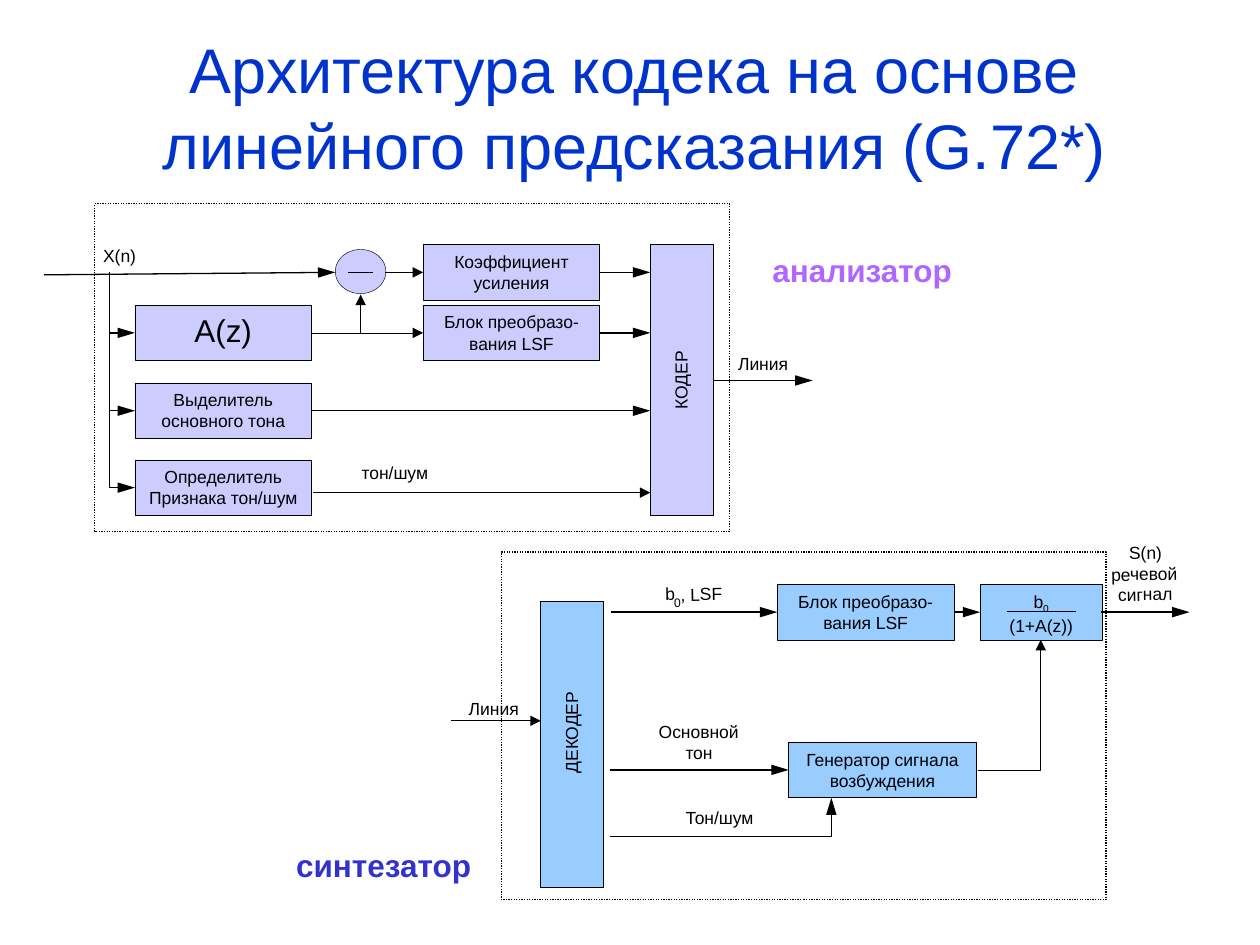
from dataclasses import dataclass

from lxml import etree
from pptx import Presentation
from pptx import util as u
from pptx.dml.color import RGBColor
from pptx.enum import dml, shapes, text
from pptx.oxml import ns


@dataclass(frozen=True)
class Theme:
    font: str = "Arial"
    ink: str = "000000"
    title: str = "0033CC"
    analyzer: str = "CCCCFF"
    synthesizer: str = "99CCFF"
    analyzer_name: str = "AF67FF"
    synthesizer_name: str = "3333CC"
    title_size: int = 36
    large_size: int = 18
    body_size: int = 10
    index_size: int = 7
    thin: float = 0.25
    line: float = 0.75


THEME = Theme()
BLOCK_WIDTH, BLOCK_HEIGHT = 3.56, 1.12
LEFT, MIDDLE, CODER, DECODER = 2.72, 8.53, 13.11, 10.9
ROWS = [5.49, 6.71, 8.28, 9.83]
BUS, BAR_WIDTH = 2.21, 1.27
OUTPUT_ROW, TONE_ROW = 12.34, 15.52


def write(frame, content, size=THEME.body_size, color=THEME.ink, bold=False,
          align=None, inset=(0.25, 0.13), wrap=True):
    frame.word_wrap = wrap
    frame.margin_left = frame.margin_right = u.Cm(inset[0])
    frame.margin_top = frame.margin_bottom = u.Cm(inset[1])
    for index, line in enumerate(content.split("\n")):
        para = frame.paragraphs[0] if index == 0 else frame.add_paragraph()
        para.alignment = align
        for position, part in enumerate(line.split("_")):
            span = para.add_run()
            span.text = part
            span.font.name = THEME.font
            span.font.size = u.Pt(size)
            span.font.bold = bold
            span.font.color.rgb = RGBColor.from_string(color)
            if position:
                span.font._element.set("baseline", "-25000")


def add_label(page, content, left, top, width, height=0.43, rotation=0,
              inset=(0, 0), **style):
    box = page.shapes.add_textbox(u.Cm(left), u.Cm(top), u.Cm(width), u.Cm(height))
    box.rotation = rotation
    write(box.text_frame, content, inset=inset, wrap=False, **style)
    box.text_frame.auto_size = text.MSO_AUTO_SIZE.SHAPE_TO_FIT_TEXT


def add_title(page, content):
    box = page.shapes.add_textbox(u.Cm(0.69), u.Cm(0.76), u.Cm(24.2), u.Cm(2.77))
    write(box.text_frame, content, size=THEME.title_size, color=THEME.title,
          align=text.PP_ALIGN.CENTER)
    box.text_frame.vertical_anchor = text.MSO_ANCHOR.MIDDLE


def add_block(page, left, top, width=BLOCK_WIDTH, height=BLOCK_HEIGHT, fill=None,
              content="", size=THEME.body_size, kind=shapes.MSO_SHAPE.RECTANGLE):
    block = page.shapes.add_shape(kind, u.Cm(left), u.Cm(top), u.Cm(width), u.Cm(height))
    block.shadow.inherit = False
    block.line.color.rgb = RGBColor.from_string(THEME.ink)
    block.line.width = u.Pt(THEME.thin)
    if fill:
        block.fill.solid()
        block.fill.fore_color.rgb = RGBColor.from_string(fill)
    else:
        block.fill.background()
        block.line.width = u.Pt(THEME.line)
        block.line.dash_style = dml.MSO_LINE.ROUND_DOT
    if content:
        write(block.text_frame, content, size=size, align=text.PP_ALIGN.CENTER)
        block.text_frame.vertical_anchor = text.MSO_ANCHOR.TOP


def add_route(page, *points, weight=THEME.line, head="lg"):
    places = [(u.Cm(x), u.Cm(y)) for x, y in points]
    if len(places) == 2:
        route = page.shapes.add_connector(
            shapes.MSO_CONNECTOR.STRAIGHT, *places[0], *places[1])
        etree.SubElement(route._element.spPr, ns.qn("a:effectLst"))
    else:
        builder = page.shapes.build_freeform(*places[0])
        builder.add_line_segments(places[1:], close=False)
        route = builder.convert_to_shape()
        route.shadow.inherit = False
        route.fill.background()
    route.line.color.rgb = RGBColor.from_string(THEME.ink)
    route.line.width = u.Pt(weight)
    if head:
        etree.SubElement(route.line._get_or_add_ln(), ns.qn("a:tailEnd"),
                         type="triangle", w="med", len=head)


def add_analyzer(page):
    fill = THEME.analyzer
    gain, prediction, pitch, noise = ROWS
    coder_end = CODER + BAR_WIDTH
    left_end, middle_end = LEFT + BLOCK_WIDTH, MIDDLE + BLOCK_WIDTH
    for left, row, content, size in [
        (LEFT, prediction, "A(z)", THEME.large_size),
        (LEFT, pitch, "Выделитель основного тона", THEME.body_size),
        (LEFT, noise, "Определитель\nПризнака тон/шум", THEME.body_size),
        (MIDDLE, gain, "Коэффициент усиления", THEME.body_size),
        (MIDDLE, prediction, "Блок преобразо-вания LSF", THEME.body_size),
    ]:
        add_block(page, left, row - BLOCK_HEIGHT / 2, fill=fill, content=content, size=size)
    add_block(page, 6.76, 5.03, 1.02, 0.89, fill, kind=shapes.MSO_SHAPE.OVAL)
    add_block(page, CODER, 4.93, BAR_WIDTH, 5.46, fill)

    add_route(page, (7.01, gain), (7.52, gain), head=None)
    add_route(page, (0.89, 5.54), (6.76, gain))
    add_route(page, (BUS, gain), (BUS, noise), head=None)
    for row in ROWS[1:]:
        add_route(page, (BUS, row), (LEFT, row))
    add_route(page, (left_end, prediction), (7.27, prediction), (7.27, 5.94),
              weight=THEME.thin, head="med")
    for start, row in [(7.77, gain), (left_end, prediction)]:
        add_route(page, (start, row), (MIDDLE, row), weight=THEME.thin, head="med")
    for start, row in [(middle_end, gain), (middle_end, prediction), (left_end, pitch)]:
        add_route(page, (start, row), (CODER, row))
    add_route(page, (6.3, 9.93), (CODER, 9.93), head="med")
    add_route(page, (coder_end, 7.67), (16.38, 7.67))

    add_label(page, "X(n)", 2.08, 4.93, 0.8)
    add_label(page, "тон/шум", 7.29, 9.32, 1.45)
    add_label(page, "КОДЕР", 13.13, 7.44, 1.19, rotation=270)
    add_label(page, "Линия", 14.88, 7.11, 1.1)
    add_block(page, 1.91, 4.11, 12.8, 6.6)
    add_label(page, "анализатор", 15.32, 4.93, 4.14, 1.02, inset=(0.25, 0.13),
              size=THEME.large_size, color=THEME.analyzer_name, bold=True)


def add_synthesizer(page):
    fill = THEME.synthesizer
    top = OUTPUT_ROW - BLOCK_HEIGHT / 2
    add_block(page, DECODER, 12.12, BAR_WIDTH, 5.77, fill)
    add_block(page, 15.67, top, fill=fill, content="Блок преобразо-вания LSF")
    add_block(page, 19.76, top, 2.46, fill=fill, content="b_0\n(1+A(z))")
    add_block(page, 15.9, TONE_ROW - BLOCK_HEIGHT / 2, 3.78, fill=fill,
              content="Генератор сигнала возбуждения")

    add_route(page, (9.09, 14.53), (DECODER, 14.53), head="med")
    for start, end, row in [(12.32, 15.67, OUTPUT_ROW), (19.23, 19.76, OUTPUT_ROW),
                            (22.2, 23.98, OUTPUT_ROW), (12.29, 15.9, TONE_ROW)]:
        add_route(page, (start, row), (end, row))
    add_route(page, (12.29, 16.87), (16.76, 16.87), (16.76, 16.08))
    add_route(page, (19.71, TONE_ROW), (20.98, TONE_ROW), (20.98, 12.9),
              weight=THEME.thin, head="med")

    add_label(page, "ДЕКОДЕР", 10.69, 14.55, 1.65, rotation=270)
    for content, left, label_top, width in [
        ("Линия", 9.45, 14.07, 1.1),
        ("Основной", 13.28, 14.53, 1.7),
        ("тон", 13.82, 14.96, 0.65),
        ("Тон/шум", 13.82, 16.26, 1.5),
    ]:
        add_label(page, content, left, label_top, width)
    for content, left, label_top, width in [
        ("b", 13.41, 11.76, 0.2),
        (", LSF", 13.72, 11.76, 0.9),
        ("S(n)", 22.76, 10.92, 0.8),
        ("речевой", 22.4, 11.35, 1.45),
        ("сигнал", 22.54, 11.76, 1.25),
    ]:
        add_label(page, content, left, label_top, width, rotation=359)
    add_label(page, "0", 13.59, 11.99, 0.15, 0.3, rotation=359, size=THEME.index_size)
    add_block(page, 10.11, 11.13, 12.19, 7.01)
    add_label(page, "синтезатор", 5.72, 16.92, 4.04, 1.02, inset=(0.25, 0.13),
              size=THEME.large_size, color=THEME.synthesizer_name, bold=True)
    add_route(page, (20.29, 12.32), (21.69, 12.32), head=None)


def main():
    deck = Presentation()
    deck.slide_width, deck.slide_height = u.Cm(25.4), u.Cm(19.05)
    page = deck.slides.add_slide(deck.slide_layouts[6])
    add_title(page, "Архитектура кодека на основе линейного предсказания (G.72*)")
    add_analyzer(page)
    add_synthesizer(page)
    deck.save("out.pptx")


if __name__ == "__main__":
    main()
